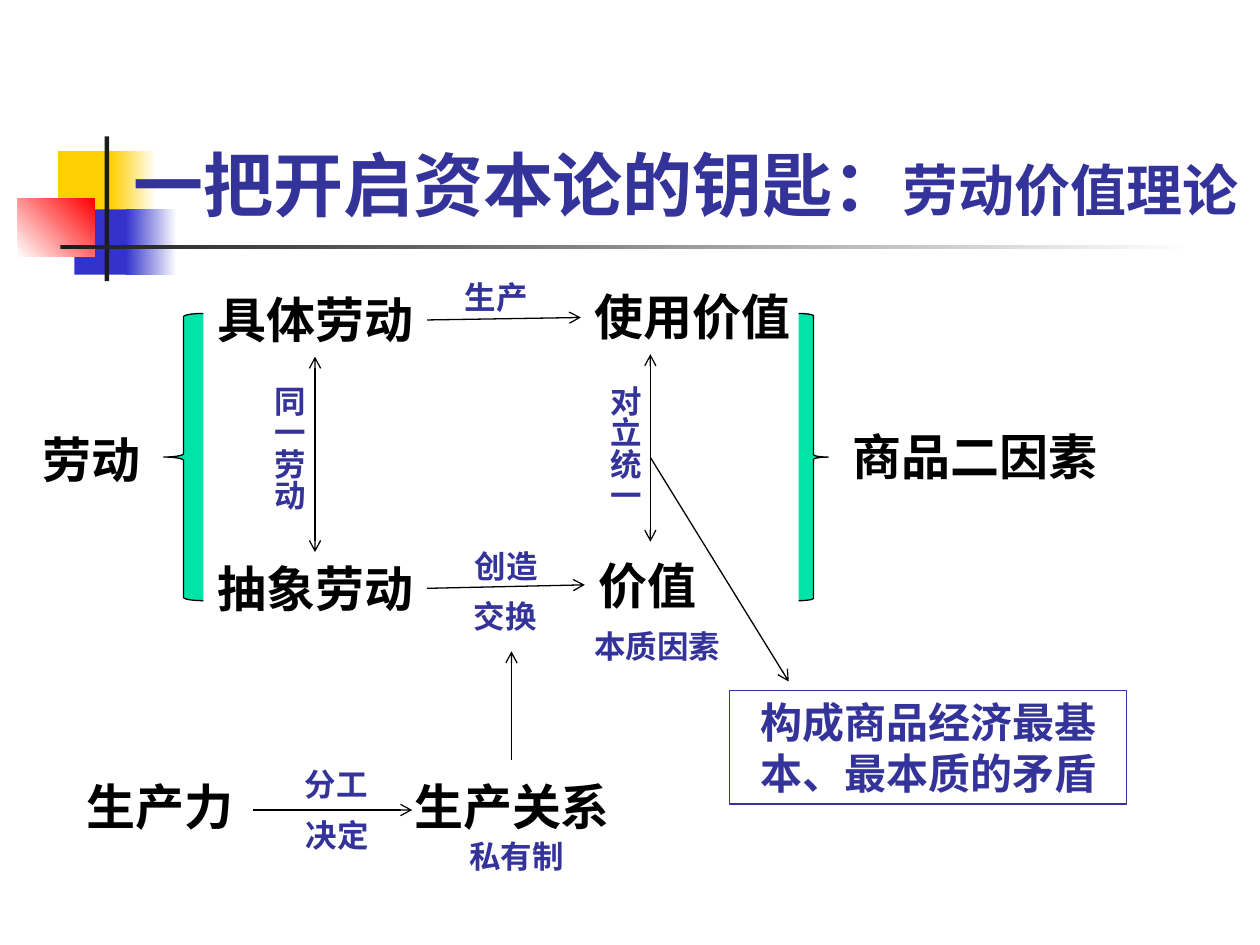
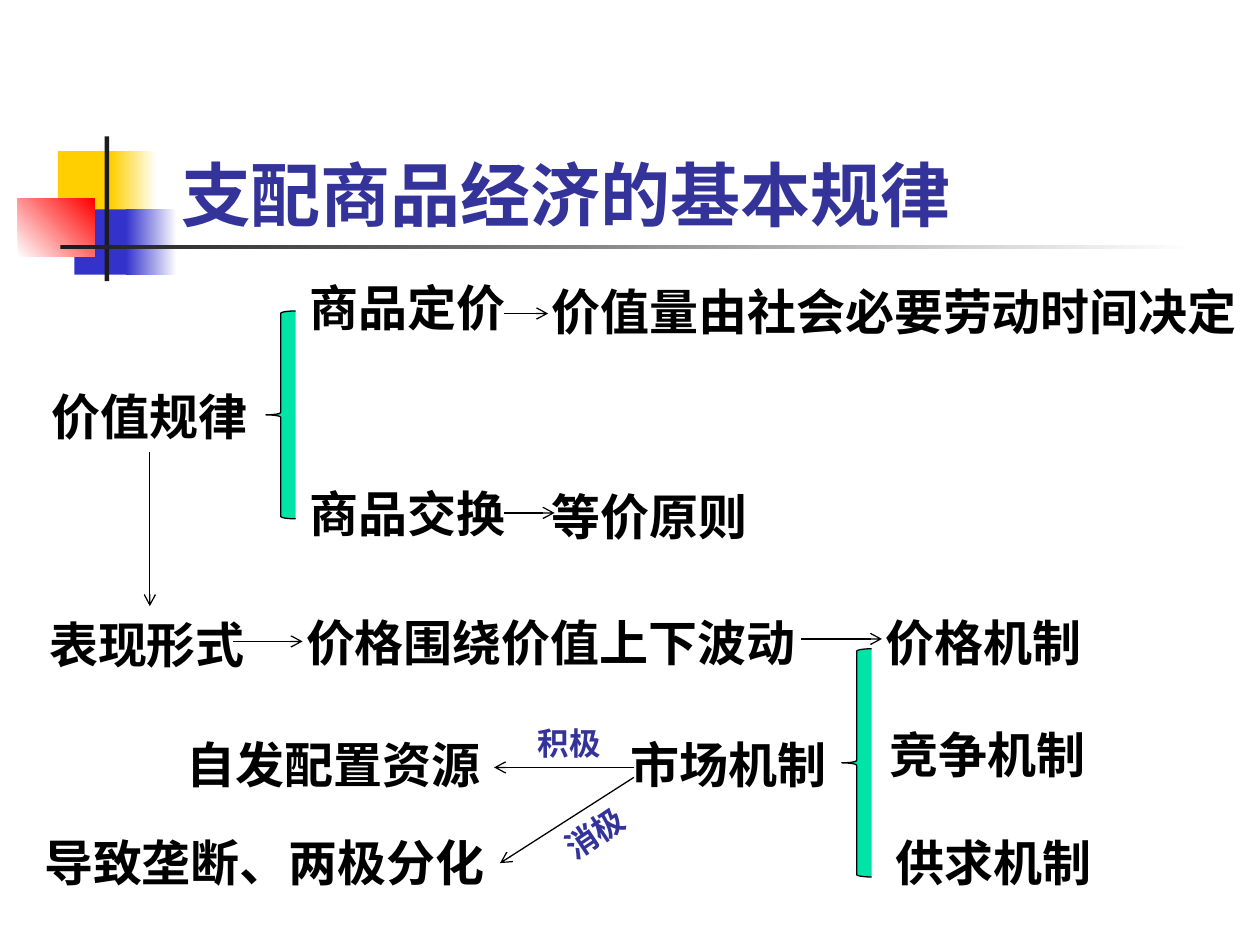
from lxml import etree
from pptx import Presentation
from pptx.dml.color import RGBColor
from pptx.enum.shapes import MSO_CONNECTOR, MSO_SHAPE
from pptx.enum.text import MSO_ANCHOR, MSO_AUTO_SIZE, PP_ALIGN
from pptx.oxml.ns import qn
from pptx.util import Cm, Pt

RECTANGLE = MSO_SHAPE.RECTANGLE
LEFT_BRACE, RIGHT_BRACE = MSO_SHAPE.LEFT_BRACE, MSO_SHAPE.RIGHT_BRACE
STRAIGHT = MSO_CONNECTOR.STRAIGHT
LEFT, CENTER = PP_ALIGN.LEFT, PP_ALIGN.CENTER
TOP = MSO_ANCHOR.TOP
FIT_SHAPE, FIXED_SIZE = MSO_AUTO_SIZE.SHAPE_TO_FIT_TEXT, MSO_AUTO_SIZE.NONE

BLACK = RGBColor(0x00, 0x00, 0x00)
WHITE = RGBColor(0xFF, 0xFF, 0xFF)
INDIGO = RGBColor(0x33, 0x33, 0x99)
YELLOW = RGBColor(0xFF, 0xCF, 0x01)
BLUE = RGBColor(0x33, 0x33, 0xCC)
RED = RGBColor(0xFF, 0x00, 0x00)
CHARCOAL = RGBColor(0x1C, 0x1C, 0x1C)
GREEN = RGBColor(0x00, 0xE4, 0xA8)

LATIN_FONT, CHINESE_FONT = "Arial", "Noto Sans CJK SC"
TITLE_SIZE, TERM_SIZE, NOTE_SIZE = 40, 28, 18
CM_PER_POINT = 2.54 / 72
SIDE_INSET, END_INSET = 0.25, 0.13
NOTE_WIDTH, NOTE_HEIGHT = 1.27, 3.4
LINE_WIDTH = Pt(0.75)


def write(paragraph, text, size=TERM_SIZE, color=BLACK, font=LATIN_FONT, align=LEFT):
    """Add one bold run of text to a paragraph."""
    paragraph.alignment = align
    run = paragraph.add_run()
    run.text = text
    run.font.size = Pt(size)
    run.font.bold = True
    run.font.name = font
    run.font.color.rgb = color
    east_asian = etree.SubElement(run.font._element, qn("a:ea"))
    east_asian.set("typeface", CHINESE_FONT)


def add_label(slide, text, x, y, size=TERM_SIZE, color=BLACK, tail="", tail_size=0, turn=0):
    """Place a one-line label in a box sized to its characters."""
    text_width = (len(text) * size + len(tail) * tail_size) * CM_PER_POINT
    width = text_width + 2 * SIDE_INSET
    height = 1.2 * size * CM_PER_POINT + 2 * END_INSET
    box = slide.shapes.add_textbox(Cm(x), Cm(y), Cm(width), Cm(height))
    box.rotation = turn
    box.text_frame.word_wrap = False
    box.text_frame.auto_size = FIT_SHAPE
    line = box.text_frame.paragraphs[0]
    write(line, text, size=size, color=color)
    if tail:
        write(line, tail, size=tail_size, color=color, font=CHINESE_FONT)


def add_labels(slide, labels, **style):
    """Place several labels that share a style."""
    for text, x, y in labels:
        add_label(slide, text, x, y, **style)


def add_vertical_note(slide, text, right, y):
    """Place a small one-column note whose box ends at the given right edge."""
    box = slide.shapes.add_textbox(Cm(right - NOTE_WIDTH), Cm(y), Cm(NOTE_WIDTH), Cm(NOTE_HEIGHT))
    frame = box.text_frame
    frame.word_wrap = True
    frame.auto_size = FIXED_SIZE
    frame.margin_left = frame.margin_right = Cm(END_INSET)
    frame.margin_top = frame.margin_bottom = Cm(SIDE_INSET)
    frame._txBody.bodyPr.set("vert", "eaVert")
    write(frame.paragraphs[0], text, size=NOTE_SIZE, color=INDIGO, align=CENTER)


def add_block(slide, x, y, width, height, start, end=None, angle=0):
    """Draw a borderless rectangle, plain or fading from start to end."""
    block = slide.shapes.add_shape(RECTANGLE, Cm(x), Cm(y), Cm(width), Cm(height))
    block.shadow.inherit = False
    block.line.fill.background()
    if end is None:
        block.fill.solid()
        block.fill.fore_color.rgb = start
        return
    block.fill.gradient()
    block.fill.gradient_angle = angle
    for stop, position, color in zip(block.fill.gradient_stops, (0, 1), (start, end)):
        stop.position = position
        stop.color.rgb = color


def add_brace(slide, kind, x, y, width, height):
    """Draw a green brace with a thin black outline."""
    brace = slide.shapes.add_shape(kind, Cm(x), Cm(y), Cm(width), Cm(height))
    brace.shadow.inherit = False
    brace.fill.solid()
    brace.fill.fore_color.rgb = GREEN
    brace.line.color.rgb = BLACK
    brace.line.width = LINE_WIDTH


def add_arrow(slide, x1, y1, x2, y2, ends=("tailEnd",)):
    """Draw a thin line with open arrowheads at the given ends."""
    arrow = slide.shapes.add_connector(STRAIGHT, Cm(x1), Cm(y1), Cm(x2), Cm(y2))
    arrow.line.color.rgb = BLACK
    arrow.line.width = LINE_WIDTH
    outline = arrow.line._get_or_add_ln()
    for end in ends:
        etree.SubElement(outline, qn(f"a:{end}")).set("type", "arrow")
    etree.SubElement(arrow._element.spPr, qn("a:effectLst"))


def add_conclusion(slide, lines, x, y, width, height):
    """Draw an outlined box with centred lines of text."""
    box = slide.shapes.add_shape(RECTANGLE, Cm(x), Cm(y), Cm(width), Cm(height))
    box.shadow.inherit = False
    box.fill.background()
    box.line.color.rgb = INDIGO
    box.line.width = LINE_WIDTH
    frame = box.text_frame
    frame.word_wrap = True
    frame.auto_size = FIT_SHAPE
    frame.vertical_anchor = TOP
    for index, text in enumerate(lines):
        paragraph = frame.add_paragraph() if index else frame.paragraphs[0]
        write(paragraph, text, size=24, color=INDIGO, align=CENTER)


def start_slide(deck, title, x, y, **tail):
    """Add a blank slide with the shared ornament and a title."""
    slide = deck.slides.add_slide(deck.slide_layouts[6])
    add_block(slide, 1.17, 3.05, 1.22, 1.32, YELLOW)
    add_block(slide, 2.24, 3.05, 0.91, 1.32, YELLOW, WHITE)
    add_block(slide, 1.5, 4.22, 1.17, 1.32, BLUE)
    add_block(slide, 2.54, 4.22, 1.02, 1.32, BLUE, WHITE)
    add_block(slide, 0.36, 4.01, 1.55, 1.17, WHITE, RED, angle=45)
    add_block(slide, 2.11, 2.75, 0.09, 2.92, CHARCOAL)
    add_block(slide, 1.22, 4.94, 22.86, 0.09, CHARCOAL, WHITE)
    add_label(slide, title, x, y, size=TITLE_SIZE, color=INDIGO, **tail)
    return slide


def build_labour_theory(deck):
    """Build the slide on the labour theory of value."""
    slide = start_slide(deck, "一把开启资本论的钥匙：", 2.44, 2.72,
                        tail="劳动价值理论", tail_size=32)
    add_labels(slide, [
        ("劳动", 0.61, 8.53),
        ("具体劳动", 4.14, 5.72),
        ("抽象劳动", 4.14, 11.13),
        ("使用价值", 11.73, 5.66),
        ("价值", 11.81, 11.07),
        ("商品二因素", 16.94, 8.48),
        ("生产关系", 8.1, 15.52),
        ("生产力", 1.5, 15.52),
    ])
    add_labels(slide, [
        ("生产", 9.12, 5.49),
        ("创造", 9.32, 10.9),
        ("交换", 9.3, 11.91),
        ("本质因素", 11.73, 12.52),
        ("分工", 5.89, 15.29),
        ("决定", 5.91, 16.33),
        ("私有制", 9.21, 16.74),
    ], size=NOTE_SIZE, color=INDIGO)
    add_brace(slide, LEFT_BRACE, 3.3, 6.32, 0.8, 5.79)
    add_brace(slide, RIGHT_BRACE, 16.1, 6.32, 0.6, 5.79)
    for relation, x, top, bottom in [
        ("同一劳动", 6.35, 7.19, 11.13),
        ("对立统一", 13.11, 7.14, 10.92),
    ]:
        add_vertical_note(slide, relation, x, 7.52)
        add_arrow(slide, x, top, x, bottom, ends=("headEnd", "tailEnd"))
    for route in [
        (8.61, 6.45, 11.71, 6.4),
        (8.61, 11.86, 11.79, 11.79),
        (10.31, 15.32, 10.31, 13.13),
        (5.11, 16.33, 8.31, 16.33),
        (13.11, 9.22, 15.9, 13.74),
    ]:
        add_arrow(slide, *route)
    add_conclusion(slide, ["构成商品经济最基", "本、最本质的矛盾"], 14.71, 13.92, 8, 2.29)


def build_basic_law(deck):
    """Build the slide on the law that governs the commodity economy."""
    slide = start_slide(deck, "支配商品经济的基本规律", 3.4, 2.92)
    add_labels(slide, [
        ("价值规律", 0.79, 7.67),
        ("商品定价", 5.99, 5.46),
        ("价值量由社会必要劳动时间决定", 10.87, 5.54),
        ("商品交换", 5.99, 9.63),
        ("等价原则", 10.87, 9.68),
        ("表现形式", 0.74, 12.27),
        ("价格围绕价值上下波动", 5.92, 12.22),
        ("价格机制", 17.6, 12.22),
        ("竞争机制", 17.68, 14.48),
        ("供求机制", 17.81, 16.66),
        ("市场机制", 12.47, 14.68),
        ("自发配置资源", 3.51, 14.68),
        ("导致垄断、两极分化", 0.64, 16.66),
    ])
    add_brace(slide, LEFT_BRACE, 5.36, 6.27, 0.6, 4.19)
    add_brace(slide, LEFT_BRACE, 16.97, 13.08, 0.6, 4.6)
    for route in [
        (10.16, 6.32, 11.05, 6.32),
        (10.16, 10.34, 11.18, 10.34),
        (3.02, 9.12, 3.02, 12.22),
        (4.7, 12.93, 6.1, 12.93),
        (16.15, 12.88, 17.78, 12.88),
        (12.78, 15.47, 9.96, 15.47),
        (12.78, 15.67, 10.08, 17.4),
    ]:
        add_arrow(slide, *route)
    add_label(slide, "积极", 10.59, 14.48, size=NOTE_SIZE, color=INDIGO)
    add_label(slide, "消极", 11.1, 16.28, size=NOTE_SIZE, color=INDIGO, turn=-33.9)


def main():
    """Build both slides and save the deck."""
    deck = Presentation()
    deck.slide_width, deck.slide_height = Cm(25.4), Cm(19.05)
    build_labour_theory(deck)
    build_basic_law(deck)
    deck.save("out.pptx")


if __name__ == "__main__":
    main()
